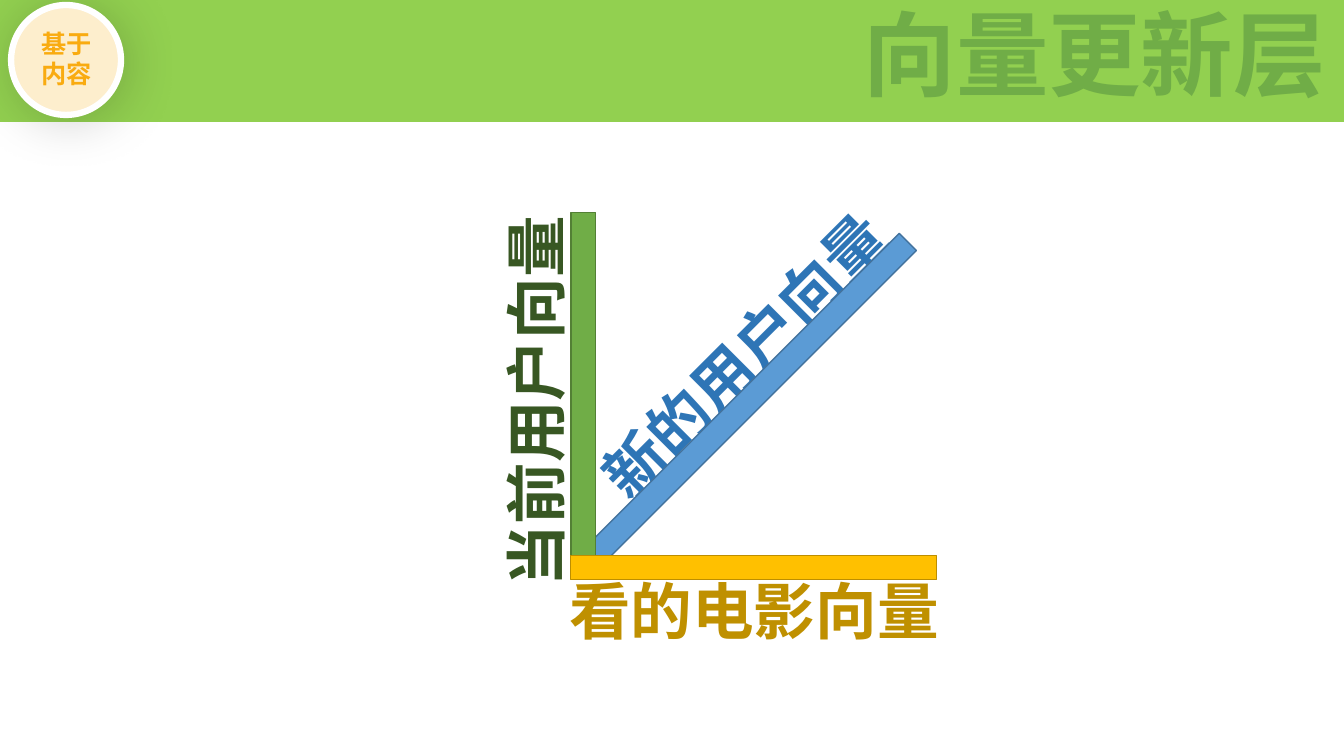
from dataclasses import dataclass

from lxml import etree
from pptx import Presentation
from pptx import util as u
from pptx.dml.color import RGBColor
from pptx.enum import shapes, text
from pptx.oxml import ns


@dataclass(frozen=True)
class Theme:
    font: str = "Noto Sans CJK SC"
    band: str = "92D050"
    title: str = "70AD47"
    disc: str = "FDEECD"
    ring: str = "FFFFFF"
    badge: str = "F9AB10"
    title_size: int = 66
    label_size: int = 44
    badge_size: int = 18


@dataclass(frozen=True)
class Box:
    left: float
    top: float
    width: float
    height: float

    def place(self) -> tuple:
        return tuple(map(u.Inches, (self.left, self.top, self.width, self.height)))


@dataclass(frozen=True)
class Vector:
    label: str
    angle: int
    bar: Box
    area: Box
    fill: str
    edge: str
    ink: str


THEME = Theme()
VECTORS = (
    Vector("新的用户向量", 315, Box(5.07, 3.91, 4.61, 0.24),
           Box(5.25, 3.11, 4.26, 0.84), "5B9BD5", "43739E", "2E75B6"),
    Vector("当前用户向量", 270, Box(3.97, 3.8, 3.63, 0.24),
           Box(3.35, 3.56, 3.91, 0.84), "70AD47", "538035", "385723"),
    Vector("看的电影向量", 0, Box(5.66, 5.51, 3.63, 0.24),
           Box(4.95, 5.63, 5.06, 0.84), "FFC000", "BD8E00", "BF9000"),
)


def rgb(code: str) -> RGBColor:
    return RGBColor.from_string(code)


def add_form(slide, kind, box: Box, fill: str, edge: str = "", width: float = 1):
    form = slide.shapes.add_shape(kind, *box.place())
    form.shadow.inherit = False
    form.fill.solid()
    form.fill.fore_color.rgb = rgb(fill)
    if edge:
        form.line.color.rgb = rgb(edge)
        form.line.width = u.Pt(width)
    else:
        form.line.fill.background()
    return form


def set_text(frame, words: str, size: int, ink: str, align) -> None:
    frame.text = words
    frame.word_wrap = True
    for para in frame.paragraphs:
        para.alignment = align
        for run in para.runs:
            font = run.font
            font.name, font.size, font.bold = THEME.font, u.Pt(size), True
            font.color.rgb = rgb(ink)
            # East Asian glyphs take their typeface from a:ea.
            props = run._r.get_or_add_rPr()
            etree.SubElement(props, ns.qn("a:ea"), typeface=THEME.font)


def add_label(slide, box: Box, words: str, size: int, ink: str):
    label = slide.shapes.add_textbox(*box.place())
    set_text(label.text_frame, words, size, ink, text.PP_ALIGN.CENTER)
    label.text_frame.auto_size = text.MSO_AUTO_SIZE.SHAPE_TO_FIT_TEXT
    return label


def add_glow(form) -> None:
    """Give the form a soft, wide shadow."""
    effects = form._element.spPr.find(ns.qn("a:effectLst"))
    shade = etree.SubElement(effects, ns.qn("a:outerShdw"), blurRad=str(u.Pt(39)),
                             dist=str(u.Pt(3)), dir=str(45 * 60000),
                             algn="ctr", rotWithShape="0")
    color = etree.SubElement(shade, ns.qn("a:srgbClr"), val="000000")
    etree.SubElement(color, ns.qn("a:alpha"), val="19000")


def add_header(slide) -> None:
    kinds = shapes.MSO_SHAPE
    band = add_form(slide, kinds.RECTANGLE, Box(0, -0.02, 13.33, 1.23), THEME.band)
    title = slide.shapes.title
    title.left, title.top, title.width, title.height = Box(7.2, 0, 6.05, 1.04).place()
    set_text(title.text_frame, "向量更新层", THEME.title_size, THEME.title,
             text.PP_ALIGN.RIGHT)
    title.text_frame.auto_size = text.MSO_AUTO_SIZE.NONE
    title.text_frame.vertical_anchor = text.MSO_ANCHOR.MIDDLE
    band._element.addnext(title._element)
    disc = add_form(slide, kinds.OVAL, Box(0.11, 0.05, 1.09, 1.09),
                    THEME.disc, THEME.ring, 4.5)
    add_glow(disc)
    add_label(slide, Box(0.2, 0.23, 0.92, 0.71), "基于\n内容",
              THEME.badge_size, THEME.badge)


def add_vector(slide, item: Vector) -> None:
    label = add_label(slide, item.area, item.label, THEME.label_size, item.ink)
    bar = add_form(slide, shapes.MSO_SHAPE.RECTANGLE, item.bar, item.fill, item.edge)
    label.rotation = bar.rotation = item.angle


def main() -> None:
    deck = Presentation()
    deck.slide_width, deck.slide_height = u.Inches(13.33), u.Inches(7.5)
    slide = deck.slides.add_slide(deck.slide_layouts.get_by_name("Title Only"))
    add_header(slide)
    for item in VECTORS:
        add_vector(slide, item)
    deck.save("out.pptx")


if __name__ == "__main__":
    main()
